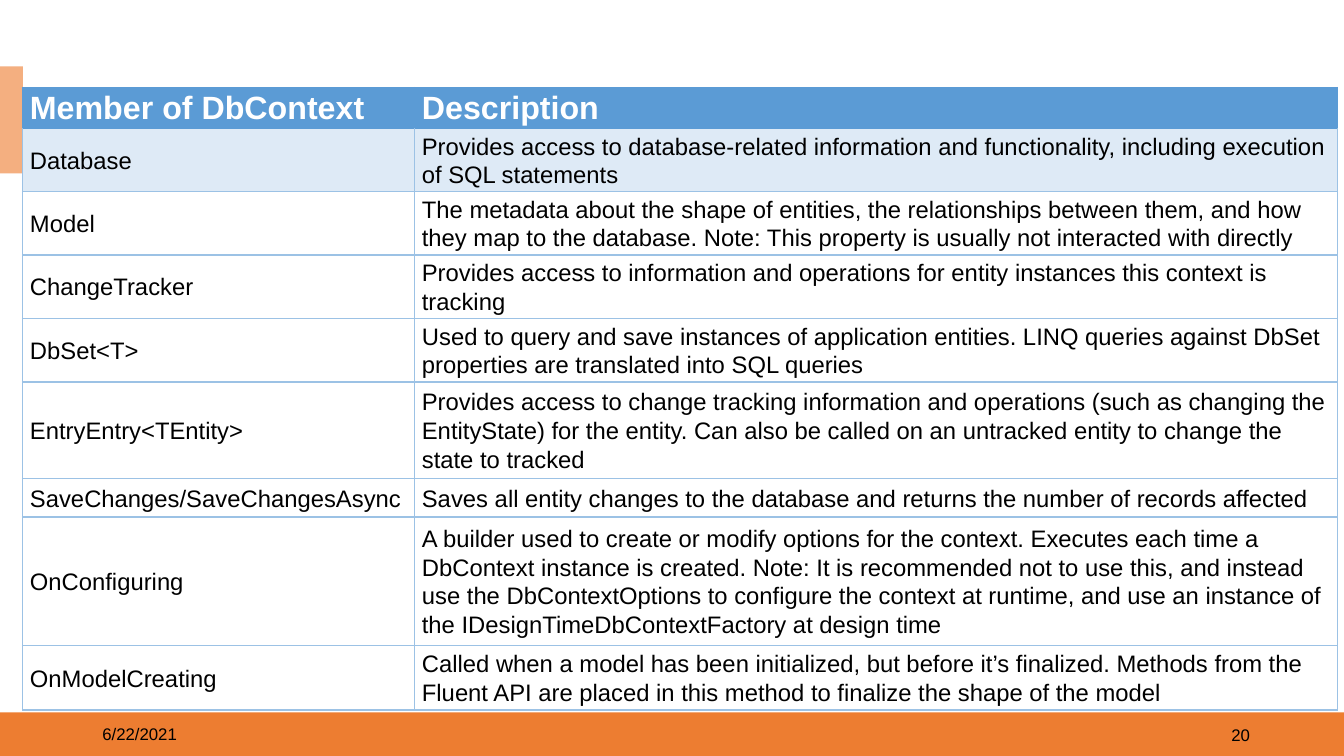
import pptx
import pptx.dml.color
import pptx.enum.shapes
import pptx.enum.text
import pptx.util
from lxml import etree
from pptx.oxml.ns import qn

Pt = pptx.util.Pt
ANCHOR = pptx.enum.text.MSO_ANCHOR
ALIGN = pptx.enum.text.PP_ALIGN

ORANGE, PEACH = "ED7D31", "F4AF80"
BLUE, LIGHT_BLUE, PALE_BLUE = "5B9BD5", "9CC2E5", "DEEAF6"
BLACK, WHITE = "000000", "FFFFFF"

COLUMN_WIDTHS = [280, 659.5]
HEADER = ("Member of DbContext", "Description")
HEADER_HEIGHT = 29.5
# Row height, member, description
MEMBERS = [
    (44.8, "Database",
     "Provides access to database-related information and functionality, "
     "including execution of SQL statements"),
    (45.4, "Model",
     "The metadata about the shape of entities, the relationships between them, "
     "and how they map to the database. Note: This property is usually not "
     "interacted with directly"),
    (45.4, "ChangeTracker",
     "Provides access to information and operations for entity instances this "
     "context is tracking"),
    (45.4, "DbSet<T>",
     "Used to query and save instances of application entities. LINQ queries "
     "against DbSet properties are translated into SQL queries"),
    (69, "EntryEntry<TEntity>",
     "Provides access to change tracking information and operations (such as "
     "changing the EntityState) for the entity. Can also be called on an "
     "untracked entity to change the state to tracked"),
    (27.4, "SaveChanges/SaveChangesAsync",
     "Saves all entity changes to the database and returns the number of "
     "records affected"),
    (92, "OnConfiguring",
     "A builder used to create or modify options for the context. Executes each "
     "time a DbContext instance is created. Note: It is recommended not to use "
     "this, and instead use the DbContextOptions to configure the context at "
     "runtime, and use an instance of the IDesignTimeDbContextFactory at design "
     "time"),
    (46, "OnModelCreating",
     "Called when a model has been initialized, but before it’s finalized. "
     "Methods from the Fluent API are placed in this method to finalize the "
     "shape of the model"),
]


def rgb(value):
    return pptx.dml.color.RGBColor.from_string(value)


def style_text(tf, size, color, bold=False):
    for p in tf.paragraphs:
        for r in p.runs:
            r.font.name = "Arial"
            r.font.size = Pt(size)
            r.font.bold = bold
            r.font.color.rgb = rgb(color)


def add_bar(s, x, y, w, h, color):
    sp = s.shapes.add_shape(pptx.enum.shapes.MSO_SHAPE.RECTANGLE,
                            Pt(x), Pt(y), Pt(w), Pt(h))
    sp.shadow.inherit = False
    sp.fill.solid()
    sp.fill.fore_color.rgb = rgb(color)
    sp.line.fill.background()


def add_label(s, x, y, w, h, text, align):
    tf = s.shapes.add_textbox(Pt(x), Pt(y), Pt(w), Pt(h)).text_frame
    tf.word_wrap = True
    tf.vertical_anchor = ANCHOR.MIDDLE
    tf.text = text
    tf.paragraphs[0].alignment = align
    style_text(tf, 12, BLACK)


def add_footer(s, x, y, w, h):
    add_bar(s, x, y, w, h, ORANGE)
    add_label(s, x + 66, y + 1, 216, 28.8, "6/22/2021", ALIGN.LEFT)
    add_label(s, x + 684, y + 1.5, 216, 28.8, "20", ALIGN.RIGHT)


def set_borders(cell, colors):
    """Draw 1 pt borders, ahead of the cell's fill as the schema requires."""
    tcPr = cell._tc.get_or_add_tcPr()
    for i, (side, color) in enumerate(colors.items()):
        ln = etree.Element(qn(f"a:ln{side}"), w=str(Pt(1)))
        fill = etree.SubElement(ln, qn("a:solidFill"))
        etree.SubElement(fill, qn("a:srgbClr"), val=color)
        tcPr.insert(i, ln)


def fill_cell(cell, text, row):
    header = row == 0
    cell.margin_left = cell.margin_right = Pt(5.4)
    cell.margin_top = cell.margin_bottom = 0
    cell.vertical_anchor = ANCHOR.TOP if header else ANCHOR.MIDDLE
    cell.text_frame.text = text
    cell.text_frame.paragraphs[0].line_spacing = 1.07
    style_text(cell.text_frame, 23 if header else 17,
               WHITE if header else BLACK, header)
    if row < 2:
        cell.fill.solid()
        cell.fill.fore_color.rgb = rgb(BLUE if header else PALE_BLUE)
    else:
        cell.fill.background()
    edge = BLUE if header else LIGHT_BLUE
    set_borders(cell, {"L": edge, "R": edge,
                       "T": BLUE if row < 2 else edge, "B": edge})


def add_member_table(s, x, y):
    heights = [HEADER_HEIGHT] + [member[0] for member in MEMBERS]
    texts = [HEADER] + [member[1:] for member in MEMBERS]
    table = s.shapes.add_table(len(texts), len(HEADER), Pt(x), Pt(y),
                               Pt(sum(COLUMN_WIDTHS)), Pt(sum(heights))).table
    table.first_row = table.horz_banding = False
    for column, width in zip(table.columns, COLUMN_WIDTHS):
        column.width = Pt(width)
    for i, (height, row_texts) in enumerate(zip(heights, texts)):
        table.rows[i].height = Pt(height)
        for j, text in enumerate(row_texts):
            fill_cell(table.cell(i, j), text, i)


def main():
    prs = pptx.Presentation()
    prs.slide_width, prs.slide_height = Pt(960), Pt(540)
    s = prs.slides.add_slide(prs.slide_layouts[6])
    add_footer(s, 0, 508.8, 960, 31.2)
    add_bar(s, 0, 47.4, 16.4, 76.4, PEACH)
    add_member_table(s, 16, 62.4)
    prs.save("out.pptx")


if __name__ == "__main__":
    main()
